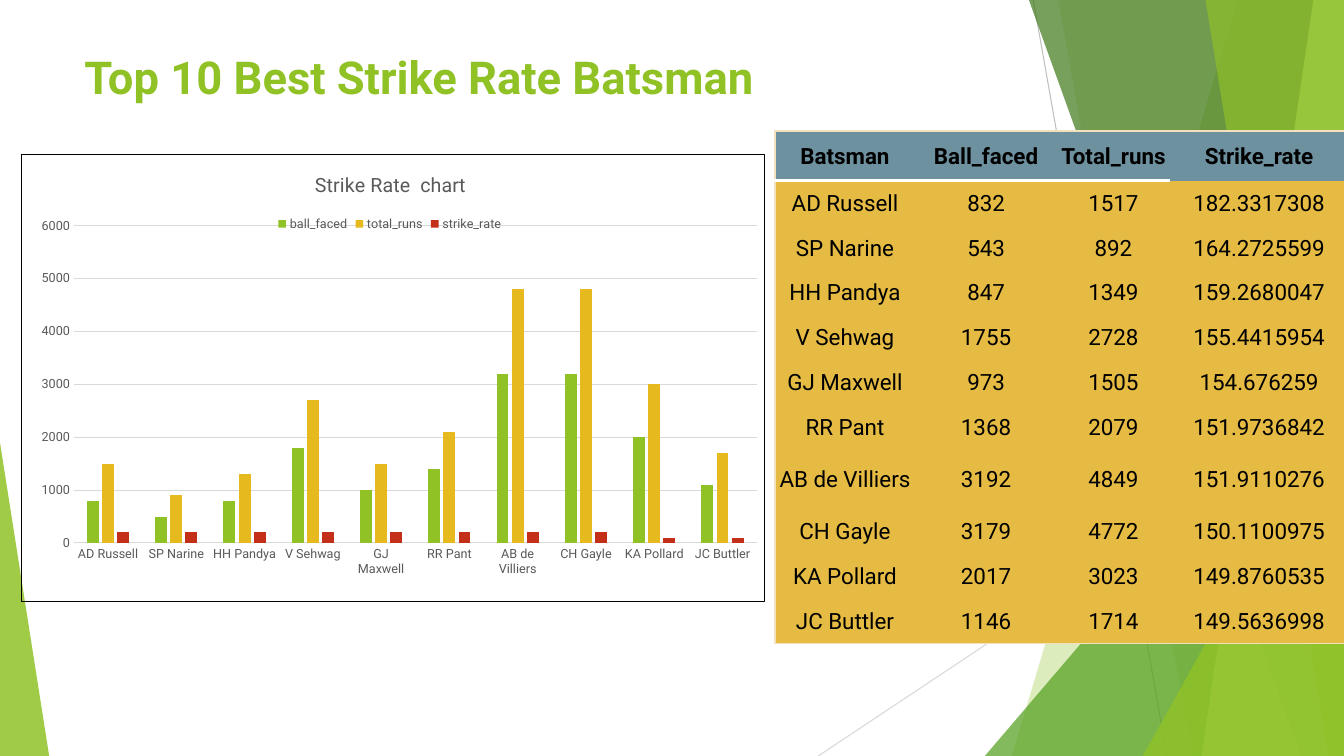
from enum import Enum

from lxml.etree import SubElement
from pptx import Presentation
from pptx.chart.data import CategoryChartData as ChartData
from pptx.dml.color import RGBColor as RGB
from pptx.enum.chart import XL_CHART_TYPE as Kind, XL_LEGEND_POSITION as Spot
from pptx.enum.chart import XL_TICK_MARK as Tick
from pptx.enum.shapes import MSO_CONNECTOR as Link, MSO_SHAPE as Form
from pptx.enum.text import MSO_ANCHOR as Anchor, PP_ALIGN as Align
from pptx.oxml import parse_xml
from pptx.oxml.ns import nsdecls, qn
from pptx.util import Cm, Pt


class Theme:
    font = "Roboto"
    lime, leaf, moss, pale = "90C226", "54A021", "3F7819", "C0E474"
    gold, red = "E6B91E", "C42F1A"
    slate, sand, cream, white = "6E91A0", "E6BB43", "F3E0BD", "FFFFFF"
    black, text, rule, edge = "000000", "595959", "D9D9D9", "BFBFBF"
    title, cell, head, base, label = 32.4, 16, 14, 10, 9


class Facet(Enum):
    BAND = 1
    PEAK = 2


def style(font, size, color, bold=False):
    font.name, font.size, font.bold = Theme.font, Pt(size), bold
    font.color.rgb = RGB.from_string(color)


def place(part, after, **spots):
    """Give a chart part a manual layout, as fractions of the chart."""
    for old in part.findall(qn("c:layout")):
        part.remove(old)
    layout = parse_xml(f"<c:layout {nsdecls('c')}><c:manualLayout/></c:layout>")
    for tag, val in spots.items():
        SubElement(layout[0], qn(f"c:{tag}"), val=str(val))
    if after:
        part.find(qn(after)).addnext(layout)
    else:
        part.insert(0, layout)


wide, high = 33.87, 19.05
deck = Presentation()
deck.slide_width, deck.slide_height = Cm(wide), Cm(high)
slide = deck.slides.add_slide(deck.slide_layouts[6])
shapes = slide.shapes

# Background lines and facets
for x1, y1, x2, y2, color in [
    (26.04, 0, 29.41, high, Theme.edge),
    (wide, 10.24, 20.62, high, Theme.rule),
]:
    line = shapes.add_connector(Link.STRAIGHT, Cm(x1), Cm(y1), Cm(x2), Cm(y2))
    line.line.color.rgb = RGB.from_string(color)
    line.line.width = Pt(0.75)
    SubElement(line._element.spPr, qn("a:effectLst"))

# A band has its top and bottom left x; a peak has left, top, width and tip
facets = [
    (Facet.BAND, (31.19, 25.5), Theme.lime, 30),
    (Facet.BAND, (26.67, 30.05), Theme.lime, 20),
    (Facet.PEAK, (24.82, 8.46, 9.05, 1), Theme.leaf, 72),
    (Facet.BAND, (25.93, 32.79), Theme.moss, 70),
    (Facet.BAND, (33.1, 30.28), Theme.pale, 70),
    (Facet.BAND, (30.38, 33.48), Theme.lime, 65),
    (Facet.PEAK, (28.8, 9.98, 5.07, 1), Theme.lime, 80),
    (Facet.PEAK, (0, 11.15, 1.24, 0), Theme.lime, 85),
]
for kind, size, color, alpha in facets:
    if kind is Facet.BAND:
        top, foot = size
        pen = shapes.build_freeform(Cm(top), 0)
        pen.add_line_segments(
            [(Cm(wide), 0), (Cm(wide), Cm(high)), (Cm(foot), Cm(high))])
        facet = pen.convert_to_shape()
    else:
        left, top, width, tip = size
        facet = shapes.add_shape(Form.ISOSCELES_TRIANGLE, Cm(left), Cm(top),
                                 Cm(width), Cm(high - top))
        facet.adjustments[0] = tip
    facet.shadow.inherit = False
    facet.line.fill.background()
    facet.fill.solid()
    facet.fill.fore_color.rgb = RGB.from_string(color)
    tint = facet._element.spPr.find(qn("a:solidFill"))[0]
    SubElement(tint, qn("a:alpha"), val=str(alpha * 1000))

# Title
title = shapes.add_textbox(Cm(1.88), Cm(1.12), Cm(23.88), Cm(1.5)).text_frame
title.word_wrap = True
title.text = "Top 10 Best Strike Rate Batsman"
style(title.paragraphs[0].font, Theme.title, Theme.lime, True)

# Table
heads = ["Batsman", "Ball_faced", "Total_runs", "Strike_rate"]
stats = [
    ("AD Russell", 832, 1517, 182.3317308),
    ("SP Narine", 543, 892, 164.2725599),
    ("HH Pandya", 847, 1349, 159.2680047),
    ("V Sehwag", 1755, 2728, 155.4415954),
    ("GJ Maxwell", 973, 1505, 154.676259),
    ("RR Pant", 1368, 2079, 151.9736842),
    ("AB de Villiers", 3192, 4849, 151.9110276),
    ("CH Gayle", 3179, 4772, 150.1100975),
    ("KA Pollard", 2017, 3023, 149.8760535),
    ("JC Buttler", 1146, 1714, 149.5636998),
]
rows = [heads, *stats]
last = len(heads) - 1
widths = [3.53, 3.58, 2.84, 4.5]
tall = [1.25] + [1.13] * 6 + [1.5] + [1.13] * 3
table = shapes.add_table(len(rows), len(heads), Cm(19.53), Cm(3.3),
                         Cm(sum(widths)), Cm(sum(tall))).table
table.first_row = table.horz_banding = False
# Built-in style without fills or grid
table._tbl.tblPr[0].text = "{2D5ABB26-0587-4C30-8999-92F81FD0307C}"
for col, width in zip(table.columns, widths):
    col.width = Cm(width)
for row, height in zip(table.rows, tall):
    row.height = Cm(height)

for r, row in enumerate(rows):
    for c, value in enumerate(row):
        cell = table.cell(r, c)
        cell.text = str(value)
        cell.vertical_anchor = Anchor.MIDDLE
        cell.margin_left = cell.margin_right = cell.margin_top = Cm(0.03)
        cell.margin_bottom = 0
        para = cell.text_frame.paragraphs[0]
        para.alignment = Align.CENTER
        style(para.font, Theme.cell, Theme.black, r == 0)
        sides = [
            ("L", c == 0, Theme.cream, 1),
            ("R", c == last, Theme.cream, 1),
            ("T", r == 0, Theme.cream, 1),
            ("B", r == 0 and c < last, Theme.white, 2),
            ("B", r == len(stats), Theme.cream, 1),
        ]
        for side, shown, color, weight in sides:
            if shown:
                edge = SubElement(cell._tc.get_or_add_tcPr(),
                                  qn(f"a:ln{side}"), w=str(Pt(weight)))
                fill = SubElement(edge, qn("a:solidFill"))
                SubElement(fill, qn("a:srgbClr"), val=color)
        cell.fill.solid()
        cell.fill.fore_color.rgb = RGB.from_string(
            Theme.sand if r else Theme.slate)

# Chart, with values to the nearest hundred
names, *nums = zip(*stats)
data = ChartData()
data.categories = names
for head, vals in zip(heads[1:], nums):
    data.add_series(head.lower(), [int(round(val, -2)) for val in vals])
chart = shapes.add_chart(Kind.COLUMN_CLUSTERED, Cm(0.54), Cm(3.88), Cm(18.73),
                         Cm(11.28), data).chart
style(chart.font, Theme.base, Theme.black)
chart._chartSpace.chart.addnext(parse_xml(
    f"<c:spPr {nsdecls('c', 'a')}><a:noFill/><a:ln w='{Pt(0.75)}'><a:solidFill>"
    f"<a:srgbClr val='{Theme.black}'/></a:solidFill></a:ln></c:spPr>"))

chart.has_title = True
chart.chart_title.text_frame.text = "Strike Rate  chart"
style(chart.chart_title.text_frame.paragraphs[0].font, Theme.head, Theme.text)
chart.has_legend = True
legend = chart.legend
legend.position, legend.include_in_layout = Spot.TOP, False
style(legend.font, Theme.label, Theme.text)

plot = chart.plots[0]
plot.gap_width, plot.overlap, plot.vary_by_categories = 219, -27, False
for bar, color in zip(plot.series, [Theme.lime, Theme.gold, Theme.red]):
    bar.format.fill.solid()
    bar.format.fill.fore_color.rgb = RGB.from_string(color)

cats, vals = chart.category_axis, chart.value_axis
for axis in (cats, vals):
    axis.major_tick_mark = axis.minor_tick_mark = Tick.NONE
    style(axis.tick_labels.font, Theme.label, Theme.text)
vals.minimum_scale, vals.maximum_scale, vals.major_unit = 0, 6000, 1000
vals.format.line.fill.background()
for rule in (cats.format.line, vals.major_gridlines.format.line):
    rule.color.rgb = RGB.from_string(Theme.rule)
    rule.width = Pt(0.75)

edges = {"xMode": "edge", "yMode": "edge"}
place(chart.chart_title._element, "c:tx", **edges, x=0.39, y=0.03)
place(legend._element, "c:legendPos", **edges, x=0.34, y=0.13)
place(chart._chartSpace.chart.plotArea, None, layoutTarget="inner", **edges,
      x=0.07, y=0.16, w=0.92, h=0.71)

deck.save("out.pptx")
